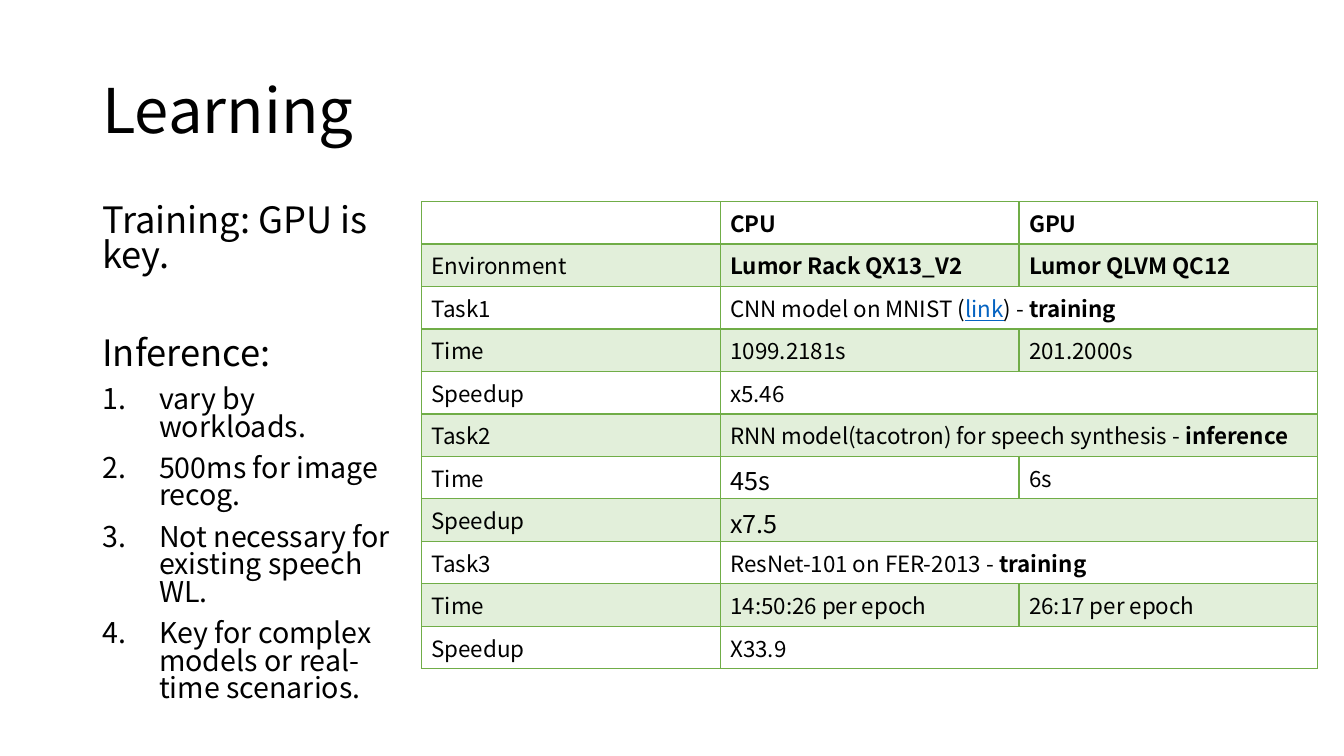
"""Build the Learning slide: GPU notes beside a CPU and GPU timing table."""
from lxml.etree import SubElement
from pptx import Presentation
from pptx.dml.color import RGBColor
from pptx.enum.text import MSO_ANCHOR
from pptx.oxml.ns import qn
from pptx.util import Cm, Pt

COLORS = {"text": "000000", "link": "0563C1", "line": "70AD47", "band": "E2EFDA"}
FONT = "Noto Sans CJK SC"


def add_run(p, text, size=16, bold=False, color="text", underline=False):
    r = p.add_run()
    r.text = text
    r.font.name = FONT
    r.font.size = Pt(size)
    r.font.bold = bold
    r.font.underline = underline
    r.font.color.rgb = RGBColor.from_string(COLORS[color])


def add_border(cell, side, width):
    ln = SubElement(cell._tc.get_or_add_tcPr(), qn(f"a:ln{side}"), w=str(Pt(width)))
    fill = SubElement(ln, qn("a:solidFill"))
    SubElement(fill, qn("a:srgbClr"), val=COLORS["line"])


prs = Presentation()
prs.slide_width, prs.slide_height = Cm(33.87), Cm(19.05)
s = prs.slides.add_slide(prs.slide_layouts[6])

tf = s.shapes.add_textbox(Cm(2.33), Cm(1.01), Cm(29.21), Cm(3.68)).text_frame
tf.word_wrap = True
tf.vertical_anchor = MSO_ANCHOR.MIDDLE
p = tf.paragraphs[0]
p.line_spacing = 0.9
add_run(p, "Learning", size=44)

notes = [
    ("Training: GPU is key.", 25.9, 10, False),
    ("Inference:", 25.9, 45, False),
    ("vary by workloads.", 20.4, 10, True),
    ("500ms for image recog.", 20.4, 10, True),
    ("Not necessary for existing speech WL.", 20.4, 10, True),
    ("Key for complex models or real-time scenarios.", 20.4, 10, True),
]
tf = s.shapes.add_textbox(Cm(2.33), Cm(5.07), Cm(7.82), Cm(12.09)).text_frame
tf.word_wrap = True
for i, (text, size, before, numbered) in enumerate(notes):
    p = tf.add_paragraph() if i else tf.paragraphs[0]
    p.line_spacing = 0.8
    p.space_before = Pt(before)
    add_run(p, text, size=size)
    if numbered:
        pPr = p._p.get_or_add_pPr()
        pPr.set("marL", str(Cm(1.43)))
        pPr.set("indent", str(-Cm(1.43)))
        SubElement(pPr, qn("a:buFont"), typeface="+mj-lt")
        SubElement(pPr, qn("a:buAutoNum"), type="arabicPeriod")

bold, large = {"bold": True}, {"size": 18}
link = {"color": "link", "underline": True}
rows = [
    [[], [("CPU", bold)], [("GPU", bold)]],
    [[("Environment", {})], [("Lumor Rack QX13_V2", bold)], [("Lumor QLVM QC12", bold)]],
    [[("Task1", {})],
     [("CNN model on MNIST (", {}), ("link", link), (") - ", {}), ("training", bold)]],
    [[("Time", {})], [("1099.2181s", {})], [("201.2000s", {})]],
    [[("Speedup", {})], [("x5.46", {})]],
    [[("Task2", {})],
     [("RNN model(tacotron) for speech synthesis - ", {}), ("inference", bold)]],
    [[("Time", {})], [("45s", large)], [("6s", {})]],
    [[("Speedup", {})], [("x7.5", large)]],
    [[("Task3", {})], [("ResNet-101 on FER-2013 - ", {}), ("training", bold)]],
    [[("Time", {})], [("14:50:26 per epoch", {})], [("26:17 per epoch", {})]],
    [[("Speedup", {})], [("X33.9", {})]],
]
table = s.shapes.add_table(
    len(rows), 3, Cm(10.62), Cm(5.08), Cm(22.58), Cm(11.73)).table
table.first_row = table.horz_banding = False
for col in table.columns:
    col.width = Cm(7.53)
for i, row in enumerate(rows):
    table.rows[i].height = Cm(1.07)
    if len(row) == 2:
        table.cell(i, 1).merge(table.cell(i, 2))
    for cell in table.rows[i].cells:
        for side in "LRTB":
            heavy = (i, side) in ((0, "B"), (1, "T"))
            add_border(cell, side, 2 if heavy else 1)
        if i % 2:
            cell.fill.solid()
            cell.fill.fore_color.rgb = RGBColor.from_string(COLORS["band"])
        else:
            cell.fill.background()
    for j, runs in enumerate(row):
        for text, style in runs:
            add_run(table.cell(i, j).text_frame.paragraphs[0], text, **style)

prs.save("out.pptx")
